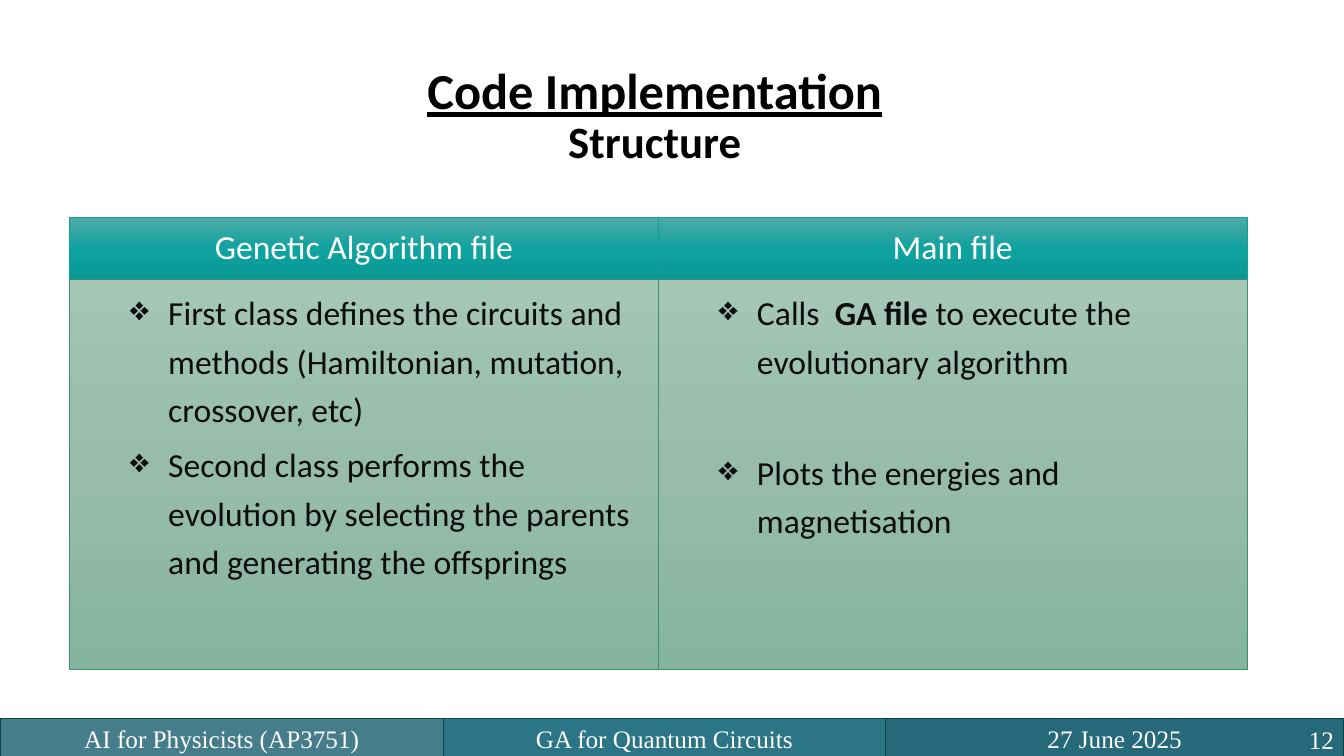
from copy import deepcopy

from pptx import Presentation
from pptx.dml.color import RGBColor
from pptx.enum.shapes import MSO_SHAPE
from pptx.enum.text import MSO_ANCHOR, PP_ALIGN
from pptx.oxml.ns import qn
from pptx.oxml.xmlchemy import OxmlElement
from pptx.util import Inches, Pt

COLOURS = {
    "title": "000000",
    "light": "FFFFFF",
    "body": "0D0D0D",
    "header_line": "169C9A",
    "panel_line": "3D9072",
    "footer_line": "0A4443",
}
HEADER_GRADIENT = ["4DA9A7", "0FA3A0", "089794"]
PANEL_GRADIENT = ["A3C6B6", "97BCAB", "84B49F"]

WIDTH, HEIGHT = 13.33, 7.5
LEFT, COLUMN = 0.69, 5.84
HEADER_TOP, PANEL_TOP, PANEL_BOTTOM = 2.16, 2.77, 6.64
FOOTER_TOP, FOOTER_HEIGHT = 7.13, 0.39

# Each bullet: space before in points, then (words, bold) spans
COLUMNS = [
    ("Genetic Algorithm file", [
        (5, [("First class defines the circuits and methods "
              "(Hamiltonian, mutation, crossover, etc)", False)]),
        (5, [("Second class performs the evolution by selecting the parents "
              "and generating the offsprings", False)]),
    ]),
    ("Main file", [
        (5, [("Calls ", False), (" GA file ", True),
             ("to execute the evolutionary algorithm", False)]),
        (45, [("Plots the energies and magnetisation", False)]),
    ]),
]
# Each footer cell: words, right edge, fill, opacity in percent
FOOTER = [
    ("AI for Physicists (AP3751)", 4.4, "185D6E", 80),
    ("GA for Quantum Circuits", 8.78, "2B7587", 100),
    ("27 June\u00a02025", WIDTH, "25697A", 100),
]


def rgb(value):
    return RGBColor.from_string(value)


def set_font(font, name, size, colour):
    font.name = name
    font.size = Pt(size)
    font.color.rgb = rgb(colour)


def add_rectangle(page, left, top, width, height, line, line_width):
    box = page.shapes.add_shape(MSO_SHAPE.RECTANGLE, Inches(left), Inches(top),
                                Inches(width), Inches(height))
    box.shadow.inherit = False
    box.line.color.rgb = rgb(line)
    box.line.width = Pt(line_width)
    return box


def fill_downward(box, stops):
    """Fill the box with evenly spaced colours from top to bottom."""
    box.fill.gradient()
    box.fill.gradient_angle = 270
    stop_list = box.fill._xPr.find(".//" + qn("a:gsLst"))
    stop_list.insert(1, deepcopy(stop_list[0]))
    for index, (stop, colour) in enumerate(zip(box.fill.gradient_stops, stops)):
        stop.position = index / (len(stops) - 1)
        stop.color.rgb = rgb(colour)


def add_title(page):
    title = page.shapes.title
    title.left, title.top = Inches(0.67), Inches(0.6)
    title.width, title.height = Inches(11.65), Inches(1.24)
    title.text_frame.vertical_anchor = MSO_ANCHOR.TOP
    para = title.text_frame.paragraphs[0]
    para.alignment = PP_ALIGN.CENTER
    para.line_spacing = 0.9
    heading = para.add_run()
    heading.text = "Code Implementation"
    para.add_line_break()
    subheading = para.add_run()
    subheading.text = "Structure"
    for span, size in ((heading, 36), (subheading, 32)):
        set_font(span.font, "Calibri", size, COLOURS["title"])
        span.font.bold = True
    heading.font.underline = True


def add_header(page, left, words):
    box = add_rectangle(page, left, HEADER_TOP, COLUMN, PANEL_TOP - HEADER_TOP,
                        COLOURS["header_line"], 0.5)
    fill_downward(box, HEADER_GRADIENT)
    frame = box.text_frame
    frame.margin_left = frame.margin_right = frame.margin_top = frame.margin_bottom = 0
    frame.vertical_anchor = MSO_ANCHOR.TOP
    para = frame.paragraphs[0]
    para.text = words
    para.alignment = PP_ALIGN.CENTER
    para.line_spacing = 1.2
    set_font(para.font, "Calibri", 24, COLOURS["light"])


def add_bullet(para, space_before, spans):
    para.level = 1
    para.alignment = PP_ALIGN.LEFT
    para.line_spacing = 1.2
    para.space_before = Pt(space_before)
    set_font(para.font, "Calibri", 24, COLOURS["body"])
    for words, bold in spans:
        span = para.add_run()
        span.text = words
        span.font.bold = bold
    properties = para._p.get_or_add_pPr()
    properties.set("marL", str(Inches(0.88)))
    properties.set("indent", str(Inches(-0.38)))
    bullet = OxmlElement("a:buChar")
    bullet.set("char", "❖")
    properties.find(qn("a:defRPr")).addprevious(bullet)


def add_panel(page, left, bullets):
    box = add_rectangle(page, left, PANEL_TOP, COLUMN, PANEL_BOTTOM - PANEL_TOP,
                        COLOURS["panel_line"], 0.5)
    fill_downward(box, PANEL_GRADIENT)
    frame = box.text_frame
    frame.vertical_anchor = MSO_ANCHOR.TOP
    for index, (space_before, spans) in enumerate(bullets):
        para = frame.add_paragraph() if index else frame.paragraphs[0]
        add_bullet(para, space_before, spans)


def set_footer_text(box, words, alignment):
    box.text_frame.word_wrap = True
    box.text_frame.vertical_anchor = MSO_ANCHOR.MIDDLE
    para = box.text_frame.paragraphs[0]
    para.text = words
    para.alignment = alignment
    set_font(para.font, "Times New Roman", 18, COLOURS["light"])


def add_footer(page):
    left = 0
    for words, right, colour, opacity in FOOTER:
        box = add_rectangle(page, left, FOOTER_TOP, right - left, FOOTER_HEIGHT,
                            COLOURS["footer_line"], 1)
        box.fill.solid()
        box.fill.fore_color.rgb = rgb(colour)
        if opacity < 100:
            alpha = OxmlElement("a:alpha")
            alpha.set("val", str(opacity * 1000))
            box.fill._xPr.find(qn("a:solidFill"))[0].append(alpha)
        set_footer_text(box, words, PP_ALIGN.CENTER)
        left = right
    number = page.shapes.add_textbox(Inches(WIDTH - 3), Inches(7.14),
                                     Inches(3), Inches(0.4))
    set_footer_text(number, "12", PP_ALIGN.RIGHT)


def main():
    deck = Presentation()
    deck.slide_width, deck.slide_height = Inches(WIDTH), Inches(HEIGHT)
    page = deck.slides.add_slide(deck.slide_layouts[5])
    add_title(page)
    add_footer(page)
    for index, (heading, bullets) in enumerate(COLUMNS):
        left = LEFT + index * COLUMN
        add_header(page, left, heading)
        add_panel(page, left, bullets)
    deck.save("out.pptx")


if __name__ == "__main__":
    main()
